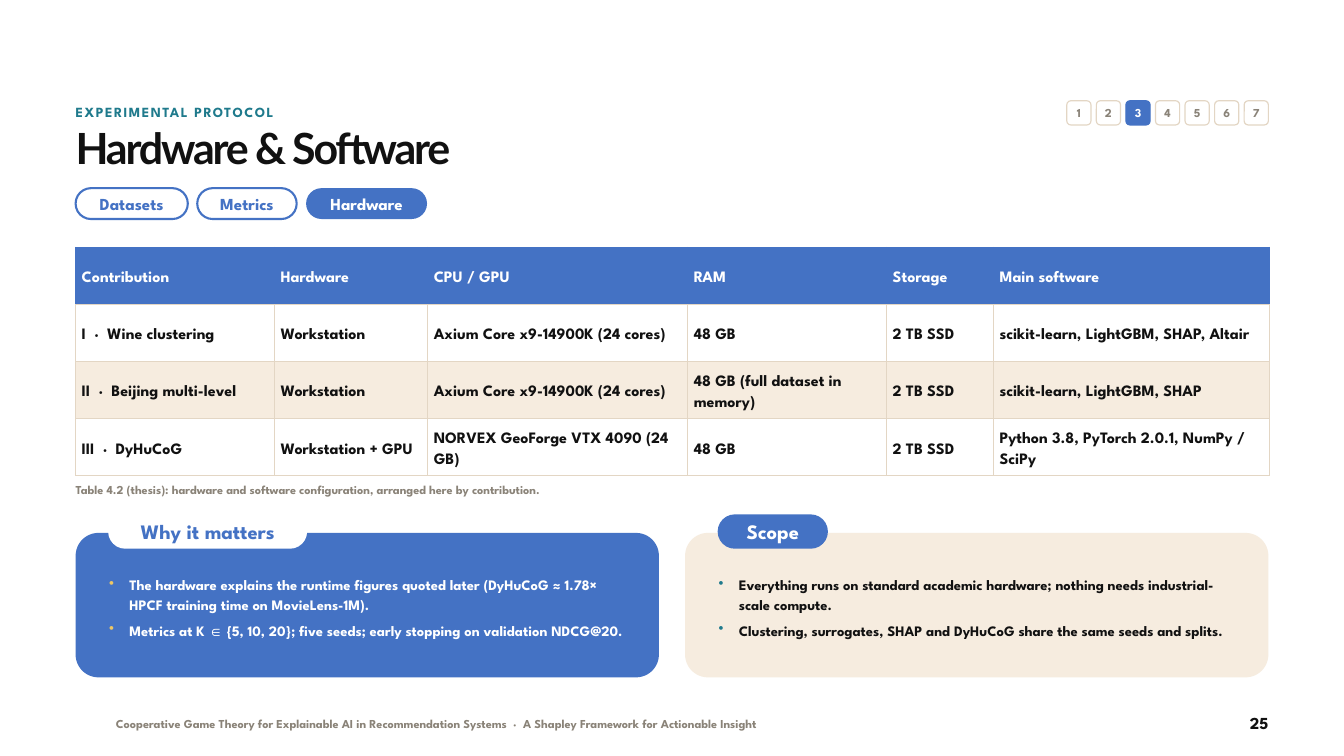
from lxml import etree
from pptx import Presentation
from pptx import util as u
from pptx.dml.color import RGBColor
from pptx.enum import shapes, text
from pptx.oxml import ns

BLUE = RGBColor(0x44, 0x72, 0xC4)
TEAL = RGBColor(0x1F, 0x7A, 0x8C)
GOLD = RGBColor(0xEC, 0xC6, 0x65)
CREAM = RGBColor(0xF6, 0xEC, 0xDF)
SAND = RGBColor(0xE3, 0xD6, 0xC4)
GREY = RGBColor(0x8A, 0x83, 0x78)
INK = RGBColor(0x11, 0x11, 0x11)
WHITE = RGBColor(0xFF, 0xFF, 0xFF)

BODY_FONT, TITLE_FONT = "League Spartan", "Lato"
WIDTH, HEIGHT = 20, 11.25
MARGIN = WIDTH * 0.05625
CONTENT = WIDTH - 2 * MARGIN
PILL_HEIGHT = 0.46

STEPS, CURRENT_STEP = 7, 3
TABS = [("Datasets", 1.67), ("Metrics", 1.48), ("Hardware", 1.8)]
CURRENT_TAB = "Hardware"
COLUMN_WIDTHS = [2.96, 2.28, 3.87, 2.96, 1.59, 4.1]
SETUPS = [
    ["Contribution", "Hardware", "CPU / GPU", "RAM", "Storage", "Main software"],
    ["I  ·  Wine clustering", "Workstation", "Axium Core x9-14900K (24 cores)",
     "48 GB", "2 TB SSD", "scikit-learn, LightGBM, SHAP, Altair"],
    ["II  ·  Beijing multi-level", "Workstation", "Axium Core x9-14900K (24 cores)",
     "48 GB (full dataset in memory)", "2 TB SSD", "scikit-learn, LightGBM, SHAP"],
    ["III  ·  DyHuCoG", "Workstation + GPU", "NORVEX GeoForge VTX 4090 (24 GB)",
     "48 GB", "2 TB SSD", "Python 3.8, PyTorch 2.0.1, NumPy / SciPy"],
]
WHY = [
    ["The hardware explains the runtime figures quoted later "
     "(DyHuCoG ≈ 1.78× HPCF training time on MovieLens-1M)."],
    ["Metrics at K ", "∈ ",
     "{5, 10, 20}; five seeds; early stopping on validation NDCG@20."],
]
SCOPE = [
    ["Everything runs on standard academic hardware; "
     "nothing needs industrial-scale compute."],
    ["Clustering, surrogates, SHAP and DyHuCoG share the same seeds and splits."],
]


def inches(*lengths):
    """Convert lengths in inches to slide units."""
    return [u.Inches(length) for length in lengths]


def set_frame(frame, anchor=text.MSO_ANCHOR.TOP, side=0, edge=0):
    """Make a text frame wrap inside the given margins."""
    frame.word_wrap = True
    frame.auto_size = text.MSO_AUTO_SIZE.NONE
    frame.vertical_anchor = anchor
    frame.margin_left = frame.margin_right = u.Inches(side)
    frame.margin_top = frame.margin_bottom = u.Inches(edge)


def write(paragraph, words, size, color, leading, align=text.PP_ALIGN.LEFT,
          font=BODY_FONT, tracking=None):
    """Write bold words, a string or a list of runs, into a paragraph."""
    for part in [words] if isinstance(words, str) else words:
        run = paragraph.add_run()
        run.text = part
        if part.startswith("∈"):
            run.font.name = "Times New Roman"
        if tracking:
            run._r.get_or_add_rPr().set("spc", str(round(tracking * 100)))
    paragraph.alignment = align
    paragraph.line_spacing = u.Pt(leading)
    paragraph.font.size = u.Pt(size)
    paragraph.font.name = font
    paragraph.font.bold = True
    paragraph.font.color.rgb = color


def add_label(slide, box, words, size, color, leading, **style):
    """Add one line of text in a box without margins."""
    label = slide.shapes.add_textbox(*inches(*box))
    set_frame(label.text_frame)
    write(label.text_frame.paragraphs[0], words, size, color, leading, **style)


def add_round(slide, box, radius, fill=None, line=None, weight=2.25):
    """Add a rounded rectangle with an optional fill and line."""
    shape = slide.shapes.add_shape(shapes.MSO_SHAPE.ROUNDED_RECTANGLE, *inches(*box))
    shape.adjustments[0] = radius
    shape.shadow.inherit = False
    if fill is None:
        shape.fill.background()
    else:
        shape.fill.solid()
        shape.fill.fore_color.rgb = fill
    if line is None:
        shape.line.fill.background()
    else:
        shape.line.color.rgb = line
        shape.line.width = u.Pt(weight)
    return shape


def add_pill(slide, box, words, size, color, fill=None, line=None):
    """Add a fully rounded shape with a centred caption."""
    pill = add_round(slide, box, 0.5, fill, line)
    set_frame(pill.text_frame, text.MSO_ANCHOR.MIDDLE, side=0.05)
    write(pill.text_frame.paragraphs[0], words, size, color, size * 1.2,
          text.PP_ALIGN.CENTER)


def add_heading(slide, left, top, width):
    """Place the section name and the slide title."""
    add_label(slide, (left, top, width * 0.8, 0.36), "EXPERIMENTAL PROTOCOL",
              15, TEAL, 20, tracking=1.6)
    title = slide.shapes.title
    title.left, title.top, title.width, title.height = inches(
        left, top + 0.36, width, 0.8)
    set_frame(title.text_frame)
    write(title.text_frame.paragraphs[0], "Hardware & Software", 46, INK, 50.6,
          font=TITLE_FONT, tracking=-2.3)


def add_steps(slide, right, top, side=0.36, pitch=0.44):
    """Place the numbered step squares, ending at the right edge."""
    for step in range(1, STEPS + 1):
        current = step == CURRENT_STEP
        left = right - side - (STEPS - step) * pitch
        square = add_round(slide, (left, top, side, side), 0.167,
                           BLUE if current else WHITE, BLUE if current else SAND, 1.25)
        set_frame(square.text_frame, text.MSO_ANCHOR.MIDDLE)
        write(square.text_frame.paragraphs[0], str(step), 13,
              WHITE if current else GREY, 15, text.PP_ALIGN.CENTER)


def add_tabs(slide, left, top, gap=0.14):
    """Place the row of section tabs."""
    for name, width in TABS:
        current = name == CURRENT_TAB
        add_pill(slide, (left, top, width, PILL_HEIGHT), name, 18,
                 WHITE if current else BLUE,
                 BLUE if current else None, None if current else BLUE)
        left += width + gap


def set_borders(cell, color):
    """Draw a one-point line on each side of a cell."""
    properties = cell._tc.get_or_add_tcPr()
    for place, side in enumerate(("lnL", "lnR", "lnT", "lnB")):
        line = etree.Element(ns.qn(f"a:{side}"), w=str(u.Pt(1)))
        fill = etree.SubElement(line, ns.qn("a:solidFill"))
        etree.SubElement(fill, ns.qn("a:srgbClr"), val=str(color))
        properties.insert(place, line)


def add_setups(slide, left, top, width, row_height=0.85):
    """Place the configuration table and its caption."""
    height = row_height * len(SETUPS)
    table = slide.shapes.add_table(len(SETUPS), len(COLUMN_WIDTHS),
                                   *inches(left, top, width, height)).table
    table.first_row = table.horz_banding = False
    for column, column_width in zip(table.columns, COLUMN_WIDTHS):
        column.width = u.Inches(column_width)
    for row, setup in enumerate(SETUPS):
        header = row == 0
        for column, words in enumerate(setup):
            cell = table.cell(row, column)
            cell.fill.solid()
            cell.fill.fore_color.rgb = BLUE if header else CREAM if row == 2 else WHITE
            cell.vertical_anchor = text.MSO_ANCHOR.MIDDLE
            cell.margin_left = cell.margin_right = u.Inches(0.09)
            cell.margin_top = cell.margin_bottom = u.Inches(0.05)
            set_borders(cell, BLUE if header else SAND)
            write(cell.text_frame.paragraphs[0], words, 17,
                  WHITE if header else INK, 22.1)
    add_label(slide, (left, top + height + 0.08, width, 0.45),
              "Table 4.2 (thesis): hardware and software configuration, "
              "arranged here by contribution.", 13, GREY, 17)


def add_bullet(paragraph, color):
    """Give a paragraph a hanging coloured bullet."""
    properties = paragraph._p.get_or_add_pPr()
    properties.set("marL", str(u.Inches(0.3)))
    properties.set("indent", str(-u.Inches(0.3)))
    bullet_color = etree.SubElement(properties, ns.qn("a:buClr"))
    etree.SubElement(bullet_color, ns.qn("a:srgbClr"), val=str(color))
    etree.SubElement(properties, ns.qn("a:buChar"), char="•")


def add_card(slide, box, heading, heading_width, points, fill, ink, accent, badge):
    """Place a card with a heading badge on its top edge and bulleted points."""
    left, top, width, height = box
    badge_fill, badge_ink = badge
    add_round(slide, box, 0.158, fill)
    add_pill(slide, (left + 0.5, top - 0.26, heading_width, 0.48), heading, 22,
             badge_ink, badge_fill, badge_fill)
    body = slide.shapes.add_textbox(
        *inches(left + 0.5, top + 0.6, width - 0.96, height - 0.8))
    set_frame(body.text_frame)
    for number, point in enumerate(points):
        paragraph = (body.text_frame.add_paragraph() if number
                     else body.text_frame.paragraphs[0])
        add_bullet(paragraph, accent)
        write(paragraph, point, 15.5, ink, 21.7)
        if number:
            paragraph.space_before = u.Pt(5.5)


def add_footer(slide, left, right, top):
    """Place the running title and the page number."""
    add_label(slide, (left + 0.6, top + 0.06, 14, 0.3),
              "Cooperative Game Theory for Explainable AI in Recommendation Systems"
              "  ·  A Shapley Framework for Actionable Insight", 13, GREY, 16)
    add_label(slide, (right - 1.2, top, 1.2, 0.36), "25", 18, INK, 22,
              align=text.PP_ALIGN.RIGHT)


def main():
    """Build the slide and save it."""
    deck = Presentation()
    deck.slide_width, deck.slide_height = inches(WIDTH, HEIGHT)
    slide = deck.slides.add_slide(deck.slide_layouts[5])
    right = MARGIN + CONTENT
    card_width, card_top, card_height = 8.68, 7.93, 2.15
    add_heading(slide, MARGIN, 1.52, CONTENT)
    add_steps(slide, right, 1.5)
    add_tabs(slide, MARGIN, 2.8)
    add_setups(slide, MARGIN, 3.68, CONTENT)
    add_card(slide, (MARGIN, card_top, card_width, card_height), "Why it matters", 2.93,
             WHY, BLUE, WHITE, GOLD, (WHITE, BLUE))
    add_card(slide, (right - card_width, card_top, card_width, card_height), "Scope", 1.61,
             SCOPE, CREAM, INK, TEAL, (BLUE, WHITE))
    add_footer(slide, MARGIN, right, 10.6)
    deck.save("out.pptx")


if __name__ == "__main__":
    main()
